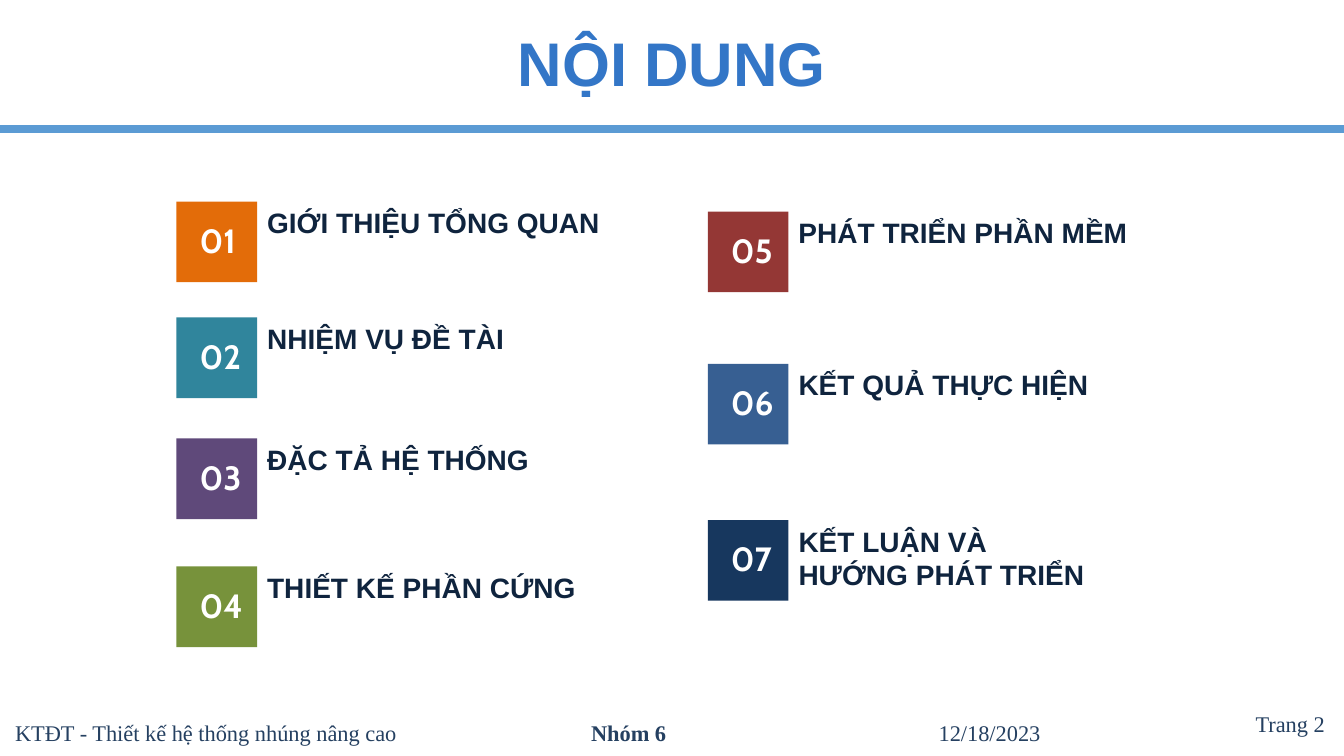
"""Build the table-of-contents slide with seven numbered sections."""
from lxml import etree
from pptx import Presentation
from pptx.dml.color import RGBColor
from pptx.enum import shapes, text
from pptx.oxml.ns import qn
from pptx.util import Inches, Pt

WHITE = RGBColor(0xFF, 0xFF, 0xFF)
TITLE_BLUE = RGBColor(0x33, 0x76, 0xC7)
RULE_BLUE = RGBColor(0x5B, 0x9B, 0xD4)
FOOTER_NAVY = RGBColor(0x25, 0x40, 0x61)
LABEL_NAVY = RGBColor(0x0F, 0x24, 0x3E)
ORANGE = RGBColor(0xE3, 0x6C, 0x09)
TEAL = RGBColor(0x30, 0x85, 0x9C)
PURPLE = RGBColor(0x5F, 0x49, 0x7A)
GREEN = RGBColor(0x77, 0x92, 0x3B)
RED = RGBColor(0x94, 0x37, 0x35)
BLUE = RGBColor(0x37, 0x5F, 0x92)
NAVY = RGBColor(0x17, 0x37, 0x5E)

LEFT, CENTER, RIGHT = text.PP_ALIGN.LEFT, text.PP_ALIGN.CENTER, text.PP_ALIGN.RIGHT


def write(shape, wording, font_name, size, color, bold=True, align=LEFT, inset=(0, 0)):
    frame = shape.text_frame
    frame.word_wrap = True
    frame.auto_size = text.MSO_AUTO_SIZE.NONE
    frame.vertical_anchor = text.MSO_ANCHOR.TOP
    frame.margin_left, frame.margin_top = Inches(inset[0]), Inches(inset[1])
    frame.margin_right = frame.margin_bottom = 0
    paragraph = frame.paragraphs[0]
    paragraph.alignment = align
    run = paragraph.add_run()
    run.text = wording
    run.font.name, run.font.size, run.font.bold = font_name, Pt(size), bold
    run.font.color.rgb = color


prs = Presentation()
prs.slide_width, prs.slide_height = Inches(13.33), Inches(7.5)
slide = prs.slides.add_slide(prs.slide_layouts[5])

heading = slide.shapes.title
heading.left, heading.top = Inches(0), Inches(0.25)
heading.width, heading.height = Inches(13.33), Inches(0.74)
write(heading, "NỘI DUNG", "Arial", 44, TITLE_BLUE, align=CENTER)

rule = slide.shapes.add_connector(
    shapes.MSO_CONNECTOR.STRAIGHT, Inches(0), Inches(1.28), Inches(13.33), Inches(1.28))
rule.line.color.rgb = RULE_BLUE
rule.line.width = Pt(6)
etree.SubElement(rule._element.spPr, qn("a:effectLst"))

sections = [
    (1.75, 2.0, ORANGE, "GIỚI THIỆU TỔNG QUAN"),
    (1.75, 3.15, TEAL, "NHIỆM VỤ ĐỀ TÀI"),
    (1.75, 4.35, PURPLE, "ĐẶC TẢ HỆ THỐNG"),
    (1.75, 5.62, GREEN, "THIẾT KẾ PHẦN CỨNG"),
    (7.02, 2.1, RED, "PHÁT TRIỂN PHẦN MỀM"),
    (7.02, 3.61, BLUE, "KẾT QUẢ THỰC HIỆN"),
    (7.02, 5.16, NAVY, "KẾT LUẬN VÀ HƯỚNG PHÁT TRIỂN"),
]
for number, (left, top, color, wording) in enumerate(sections, start=1):
    square = slide.shapes.add_shape(
        shapes.MSO_SHAPE.RECTANGLE, Inches(left), Inches(top), Inches(0.8), Inches(0.8))
    square.shadow.inherit = False
    square.fill.solid()
    square.fill.fore_color.rgb = color
    square.line.fill.background()
    write(square, f"{number:02}", "Cabin", 24, WHITE, inset=(0.23, 0.18))

    height = 0.7 if number == len(sections) else 0.36
    label = slide.shapes.add_textbox(
        Inches(left + 0.89), Inches(top + 0.03), Inches(2.95 if left > 7 and number > 5 else 3.4),
        Inches(height))
    write(label, wording, "Arial", 20, LABEL_NAVY, inset=(0.01, 0.01))

footers = [
    (0.15, 7.13, 3.95, "KTĐT - Thiết kế hệ thống nhúng nâng cao", False, LEFT),
    (4.1, 7.13, 4.27, "Nhóm 6", True, CENTER),
    (9.31, 7.13, 1.2, "12/18/2023", False, LEFT),
    (11.65, 7.05, 1.49, "Trang 2", False, RIGHT),
]
for left, top, width, wording, bold, align in footers:
    footer = slide.shapes.add_textbox(Inches(left), Inches(top), Inches(width), Inches(0.27))
    write(footer, wording, "Times New Roman", 16, FOOTER_NAVY, bold, align)

prs.save("out.pptx")
